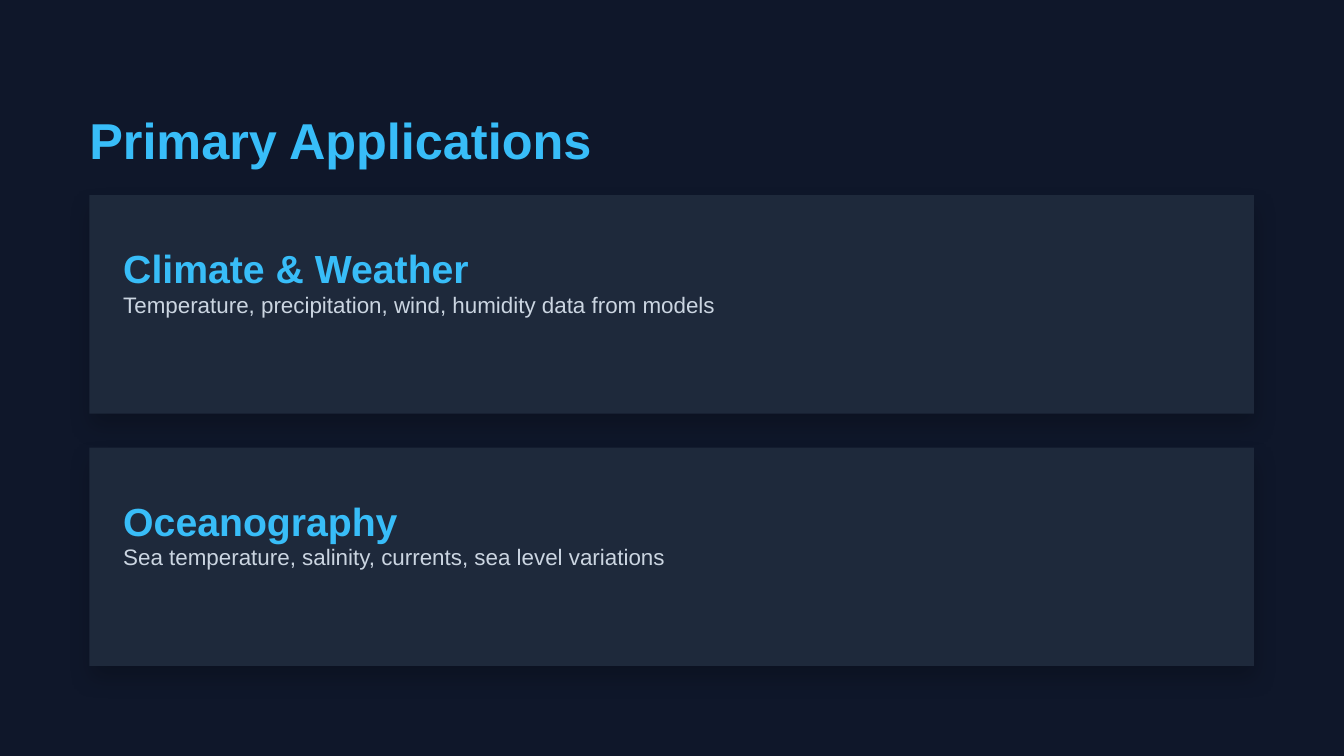
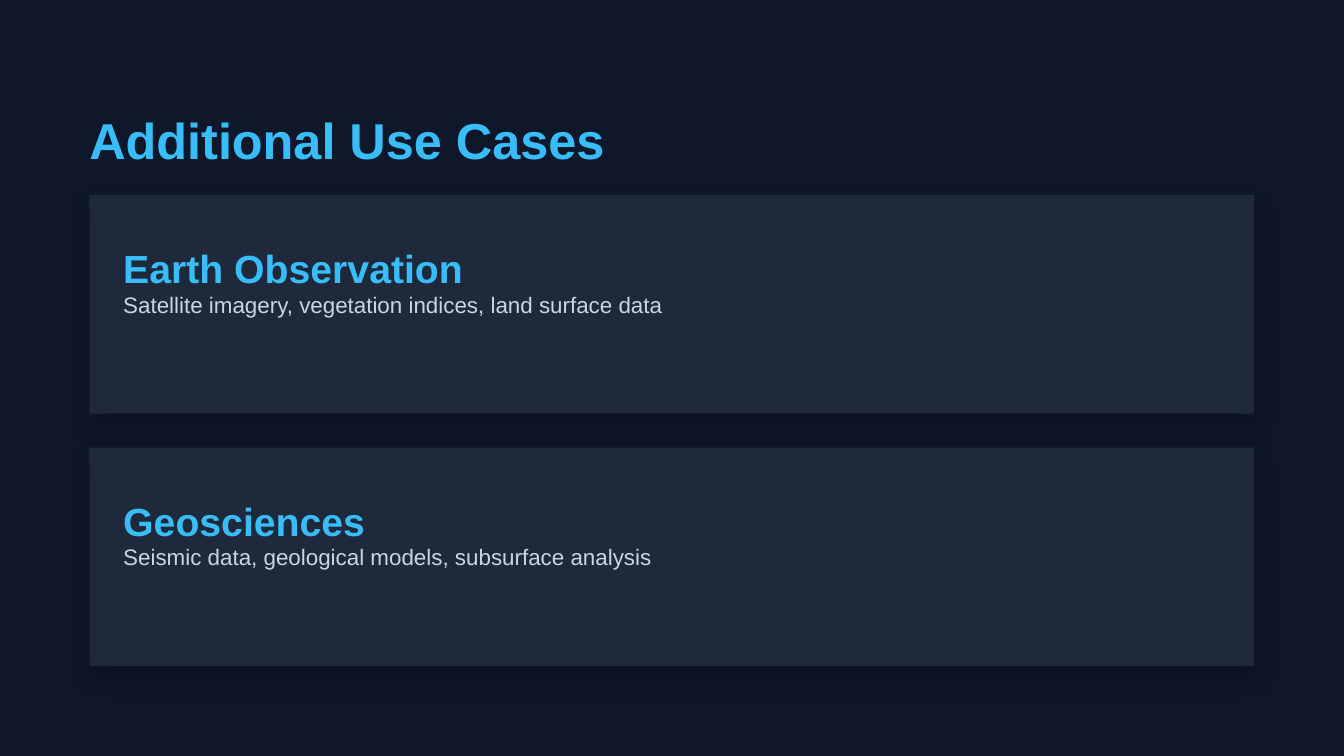
"""Build two dark slides, each with a title and two stacked topic cards."""
from lxml import etree
from pptx import Presentation
from pptx.dml.color import RGBColor
from pptx.enum.shapes import MSO_SHAPE
from pptx.enum.text import MSO_ANCHOR
from pptx.oxml.ns import qn
from pptx.util import Cm, Pt

RECT = MSO_SHAPE.RECTANGLE
TOP = MSO_ANCHOR.TOP

SLIDES = [
    ("Primary Applications", [
        ("Climate & Weather",
         "Temperature, precipitation, wind, humidity data from models"),
        ("Oceanography",
         "Sea temperature, salinity, currents, sea level variations"),
    ]),
    ("Additional Use Cases", [
        ("Earth Observation",
         "Satellite imagery, vegetation indices, land surface data"),
        ("Geosciences",
         "Seismic data, geological models, subsurface analysis"),
    ]),
]

FONT = "Arial"
NAVY, SLATE, SKY, MIST = "0F172A", "1E293B", "38BDF8", "CBD5E1"
WIDE, HIGH = 25.4, 14.29
LEFT, CARD_TOP = 1.69, 3.69
CARD_W, CARD_H, GAP = 22.01, 4.13, 0.64
PAD = 0.64
HEAD_H, NOTE_H = 0.89, 0.58
TEXT_W = 21.17

TITLE = dict(size=27, line=43.2, color=SKY, bold=True)
HEAD = dict(size=21, line=33.6, color=SKY, bold=True)
NOTE = dict(size=12, line=22.4, color=MIST)


def paint(fill, color):
    fill.solid()
    fill.fore_color.rgb = RGBColor.from_string(color)


def write(slide, text, x, y, w, h, *, size, line, color, bold=False):
    frame = slide.shapes.add_textbox(Cm(x), Cm(y), Cm(w), Cm(h)).text_frame
    frame.word_wrap = True
    frame.vertical_anchor = TOP
    frame.margin_left = frame.margin_right = 0
    frame.margin_top = frame.margin_bottom = 0
    para = frame.paragraphs[0]
    para.line_spacing = Pt(line)
    run = para.add_run()
    run.text = text
    font = run.font
    font.name, font.size, font.bold = FONT, Pt(size), bold
    font.color.rgb = RGBColor.from_string(color)


def shade(shape, color="000000", alpha=20, blur=12, dist=6, angle=90):
    shape.shadow.inherit = False
    effects = shape._element.spPr.find(qn("a:effectLst"))
    outer = etree.SubElement(
        effects, qn("a:outerShdw"), blurRad=str(Pt(blur)), dist=str(Pt(dist)),
        dir=str(angle * 60000), algn="bl", rotWithShape="0")
    tint = etree.SubElement(outer, qn("a:srgbClr"), val=color)
    etree.SubElement(tint, qn("a:alpha"), val=str(alpha * 1000))


def add_card(slide, y):
    card = slide.shapes.add_shape(RECT, Cm(LEFT), Cm(y), Cm(CARD_W), Cm(CARD_H))
    paint(card.fill, SLATE)
    card.line.fill.background()
    shade(card)


def add_slide(deck, title, topics):
    slide = deck.slides.add_slide(deck.slide_layouts[6])
    paint(slide.background.fill, NAVY)
    tops = [CARD_TOP + i * (CARD_H + GAP) for i in range(len(topics))]
    for y in tops:
        add_card(slide, y)
    write(slide, title, LEFT, 1.69, 22.45, 1.14, **TITLE)
    for y, (head, note) in zip(tops, topics):
        x, y = LEFT + PAD, y + PAD
        write(slide, head, x, y, TEXT_W, HEAD_H, **HEAD)
        write(slide, note, x, y + HEAD_H, TEXT_W, NOTE_H, **NOTE)


def main():
    deck = Presentation()
    deck.slide_width, deck.slide_height = Cm(WIDE), Cm(HIGH)
    for title, topics in SLIDES:
        add_slide(deck, title, topics)
    deck.save("out.pptx")


if __name__ == "__main__":
    main()
